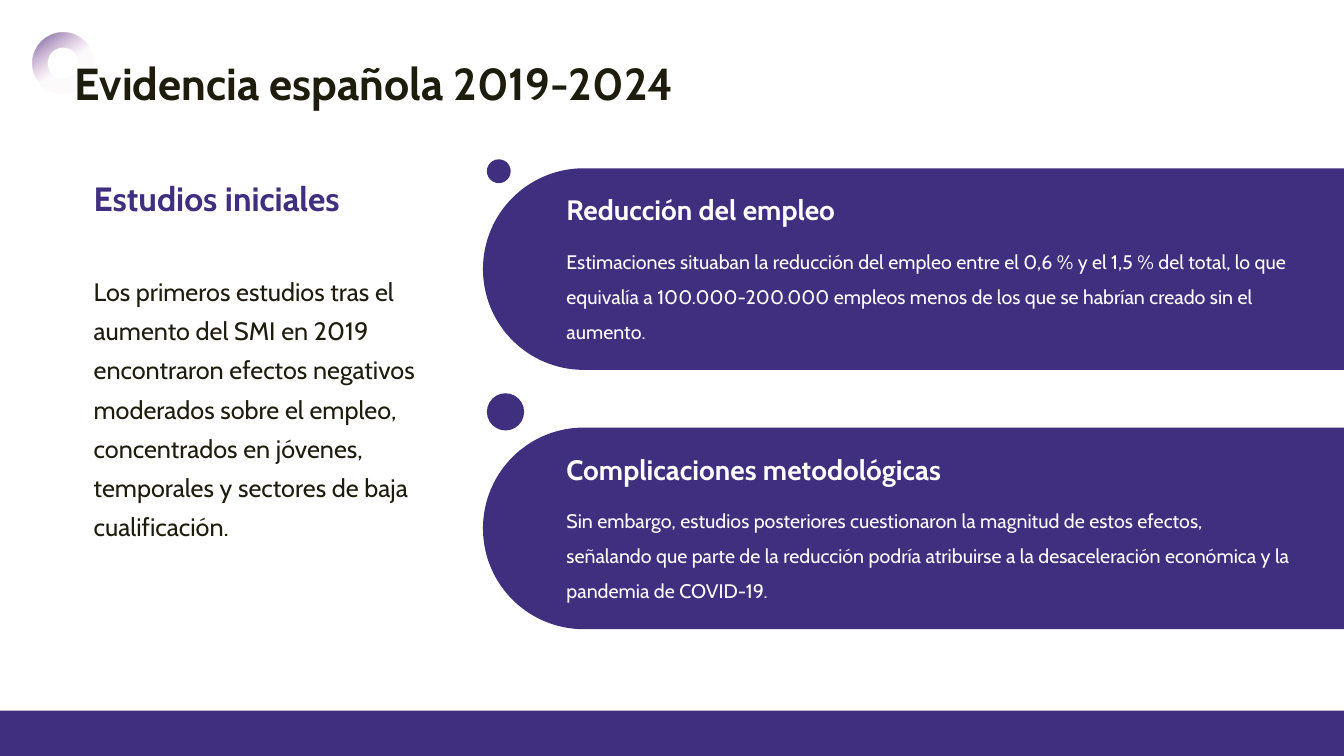
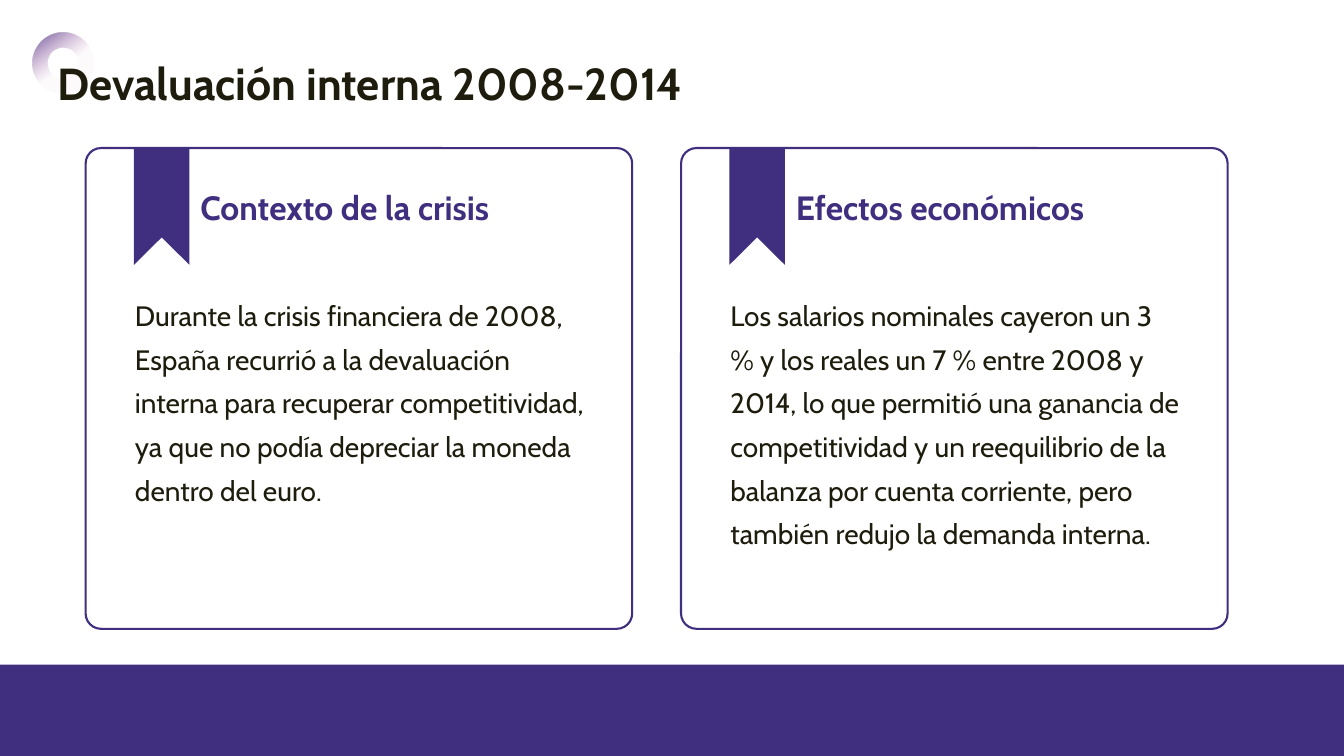
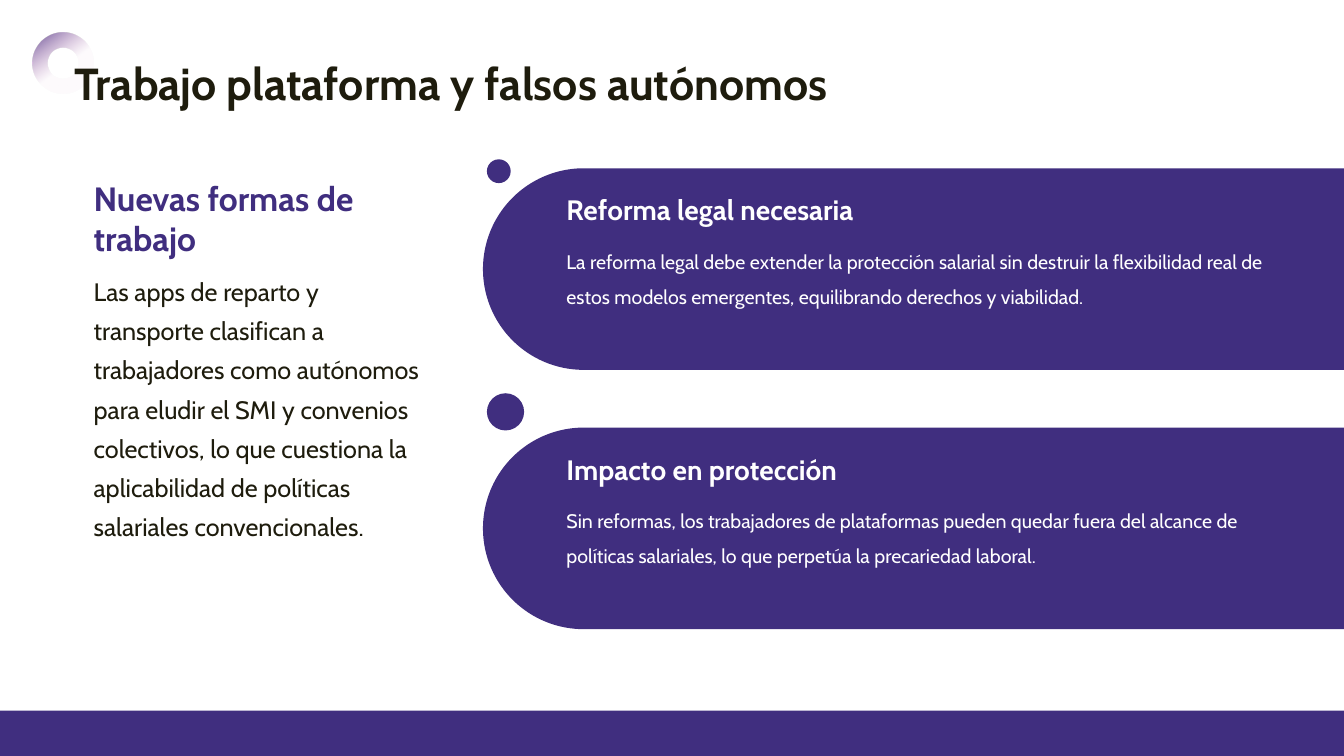
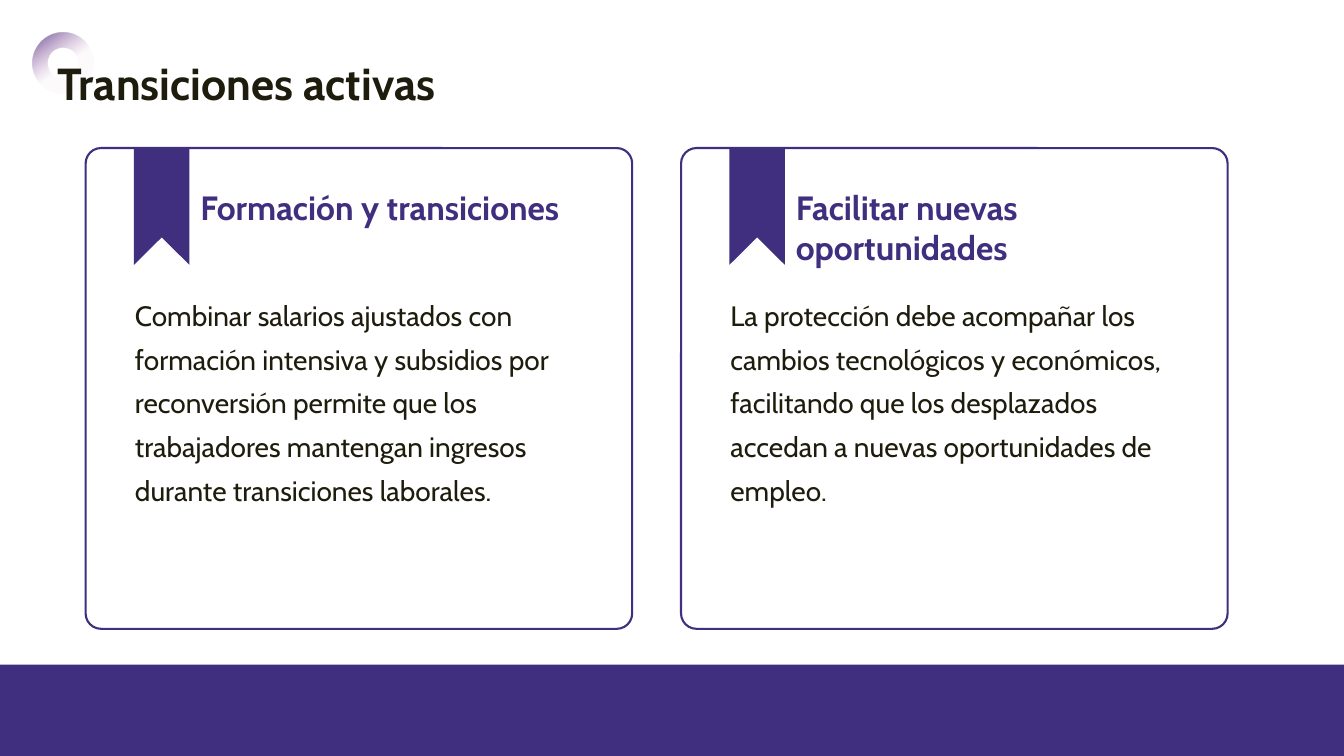
from dataclasses import dataclass

from lxml import etree
from pptx import Presentation
from pptx.dml.color import RGBColor
from pptx.enum import shapes, text
from pptx.oxml import ns
from pptx.util import Pt

SHAPE = shapes.MSO_SHAPE


@dataclass(frozen=True)
class TextStyle:
    size: float
    color: RGBColor
    bold: bool = False
    spacing: float = 1.0


class Theme:
    font = "Cabin"
    width, height = 960, 540
    purple = RGBColor.from_string("402E7F")
    mauve = RGBColor.from_string("BC7DB7")
    ink = RGBColor.from_string("1E1C0D")
    white = RGBColor.from_string("FFFFFF")

    title = TextStyle(32, ink, bold=True)
    heading = TextStyle(24, purple, bold=True)
    intro = TextStyle(18, ink, spacing=1.3)
    card_body = TextStyle(20, ink, spacing=1.3)
    band_heading = TextStyle(20, white, bold=True)
    band_body = TextStyle(14, white, spacing=1.5)


class Deck:
    """Holds the presentation, its theme and the slide being built."""

    def __init__(self, theme):
        self.theme = theme
        self.prs = Presentation()
        self.prs.slide_width = Pt(theme.width)
        self.prs.slide_height = Pt(theme.height)
        self.slide = None

    def start_slide(self, title, title_left, footer_height):
        comparison_layout = self.prs.slide_layouts[4]
        self.slide = self.prs.slides.add_slide(comparison_layout)
        self.ring()
        top = self.theme.height - footer_height
        self.shape(SHAPE.RECTANGLE, 0, top, self.theme.width, footer_height)
        self.fill_placeholder(0, (title_left, 36, 799, 46), title, self.theme.title)

    def paint(self, shape, fill, outline=None):
        shape.shadow.inherit = False
        shape.fill.solid()
        shape.fill.fore_color.rgb = fill
        if outline is None:
            shape.line.fill.background()
        else:
            shape.line.color.rgb = outline
            shape.line.width = Pt(1.5)

    def shape(self, kind, left, top, width, height, fill=None, outline=None):
        shape = self.slide.shapes.add_shape(
            kind, Pt(left), Pt(top), Pt(width), Pt(height))
        self.paint(shape, fill or self.theme.purple, outline)
        return shape

    def ring(self):
        """Draw the donut behind the title, fading from purple to near clear."""
        ring = self.shape(SHAPE.DONUT, 23, 23, 44, 44)
        ring.rotation = 99
        ring.fill.gradient()
        ring.fill.gradient_angle = 45
        start, end = ring.fill.gradient_stops
        start.color.rgb, start.position = self.theme.purple, 0
        end.color.rgb, end.position = self.theme.mauve, 0.54
        faded = ring.element.spPr.findall(".//" + ns.qn("a:srgbClr"))[-1]
        etree.SubElement(faded, ns.qn("a:alpha"), val="3000")

    def dot(self, left, top, diameter):
        self.shape(SHAPE.OVAL, left, top, diameter, diameter)

    def fill_placeholder(self, idx, box, content, style):
        """Fill a placeholder and bring it in front of the shapes drawn so far."""
        holder = next(p for p in self.slide.placeholders
                      if p.placeholder_format.idx == idx)
        holder.left, holder.top, holder.width, holder.height = map(Pt, box)
        holder.element.getparent().append(holder.element)
        self.set_text(holder, content, style)

    def text_box(self, box, content, style):
        self.set_text(self.slide.shapes.add_textbox(*map(Pt, box)), content, style)

    def set_text(self, holder, content, style):
        frame = holder.text_frame
        frame.word_wrap = True
        frame.auto_size = text.MSO_AUTO_SIZE.NONE
        frame.vertical_anchor = text.MSO_ANCHOR.TOP
        paragraph = frame.paragraphs[0]
        properties = paragraph._p.get_or_add_pPr()
        properties.set("marL", "0")
        properties.set("indent", "0")
        etree.SubElement(properties, ns.qn("a:buNone"))
        paragraph.alignment = text.PP_ALIGN.LEFT
        paragraph.line_spacing = style.spacing
        paragraph.space_before = Pt(0)
        run = paragraph.add_run()
        run.text = content
        run.font.name = self.theme.font
        run.font.size = Pt(style.size)
        run.font.bold = style.bold
        run.font.color.rgb = style.color

    def ribbon(self, left, top):
        width, length, notch = 39.6, 83.4, 19.6
        outline = self.slide.shapes.build_freeform(Pt(left), Pt(top))
        corners = [(width, 0), (width, length),
                   (width / 2, length - notch), (0, length)]
        outline.add_line_segments(
            [(Pt(left + x), Pt(top + y)) for x, y in corners], close=True)
        self.paint(outline.convert_to_shape(), self.theme.purple)

    def card(self, index, heading, body):
        left, top = 61.2 + index * 425.3, 105.8
        frame = self.shape(SHAPE.ROUNDED_RECTANGLE, left, top, 390.4, 343.4,
                           self.theme.white, self.theme.purple)
        frame.adjustments[0] = 0.032
        self.ribbon(left + 34.5, top)
        first = 1 + 2 * index
        self.fill_placeholder(first, (left + 74.7, 129.6, 290, 65.5),
                              heading, self.theme.heading)
        self.fill_placeholder(first + 1, (left + 28, 202.3, 337, 232.6),
                              body, self.theme.card_body)

    def band(self, index, heading, body):
        """Draw a band that is round on the left and runs to the slide edge."""
        left, top, height = 345, 120.2 + index * 185.2, 144
        length = self.theme.width - left
        # Drawn upright about the same centre, then turned on its side.
        band = self.shape(SHAPE.ROUND_2_SAME_RECTANGLE,
                          left + (length - height) / 2,
                          top + (height - length) / 2, height, length)
        band.adjustments[0], band.adjustments[1] = 0.5, 0
        band.rotation = 270
        first = 1 + 2 * index
        self.fill_placeholder(first, (397.4, top + 14, 531.4, 31.5),
                              heading, self.theme.band_heading)
        self.fill_placeholder(first + 1, (397.4, top + 46, 531.4, 83.5),
                              body, self.theme.band_body)

    def band_slide(self, title, intro, bands):
        self.start_slide(title, title_left=46, footer_height=32.4)
        self.dot(347.8, 113.8, 17)
        self.dot(347.8, 280.9, 26.6)
        heading, body = intro
        self.text_box((59.8, 123.2, 250.6, 65.5), heading, self.theme.heading)
        self.text_box((59.8, 187.2, 250.6, 280.8), body, self.theme.intro)
        for index, band in enumerate(bands):
            self.band(index, *band)

    def card_slide(self, title, cards):
        self.start_slide(title, title_left=34, footer_height=65.3)
        for index, card in enumerate(cards):
            self.card(index, *card)


def main():
    deck = Deck(Theme())
    deck.band_slide(
        "Evidencia española 2019-2024",
        ("Estudios iniciales",
         "Los primeros estudios tras el aumento del SMI en 2019 encontraron "
         "efectos negativos moderados sobre el empleo, concentrados en jóvenes, "
         "temporales y sectores de baja cualificación."),
        [("Reducción del empleo",
          "Estimaciones situaban la reducción del empleo entre el 0,6 % y el "
          "1,5 % del total, lo que equivalía a 100.000-200.000 empleos menos de "
          "los que se habrían creado sin el aumento."),
         ("Complicaciones metodológicas",
          "Sin embargo, estudios posteriores cuestionaron la magnitud de estos "
          "efectos, señalando que parte de la reducción podría atribuirse a la "
          "desaceleración económica y la pandemia de COVID-19.")])
    deck.card_slide(
        "Devaluación interna 2008-2014",
        [("Contexto de la crisis",
          "Durante la crisis financiera de 2008, España recurrió a la "
          "devaluación interna para recuperar competitividad, ya que no podía "
          "depreciar la moneda dentro del euro."),
         ("Efectos económicos",
          "Los salarios nominales cayeron un 3 % y los reales un 7 % entre 2008 "
          "y 2014, lo que permitió una ganancia de competitividad y un "
          "reequilibrio de la balanza por cuenta corriente, pero también redujo "
          "la demanda interna.")])
    deck.band_slide(
        "Trabajo plataforma y falsos autónomos",
        ("Nuevas formas de trabajo",
         "Las apps de reparto y transporte clasifican a trabajadores como "
         "autónomos para eludir el SMI y convenios colectivos, lo que cuestiona "
         "la aplicabilidad de políticas salariales convencionales."),
        [("Reforma legal necesaria",
          "La reforma legal debe extender la protección salarial sin destruir la "
          "flexibilidad real de estos modelos emergentes, equilibrando derechos "
          "y viabilidad."),
         ("Impacto en protección",
          "Sin reformas, los trabajadores de plataformas pueden quedar fuera del "
          "alcance de políticas salariales, lo que perpetúa la precariedad "
          "laboral.")])
    deck.card_slide(
        "Transiciones activas",
        [("Formación y transiciones",
          "Combinar salarios ajustados con formación intensiva y subsidios por "
          "reconversión permite que los trabajadores mantengan ingresos durante "
          "transiciones laborales."),
         ("Facilitar nuevas oportunidades",
          "La protección debe acompañar los cambios tecnológicos y económicos, "
          "facilitando que los desplazados accedan a nuevas oportunidades de "
          "empleo.")])
    deck.prs.save("out.pptx")


if __name__ == "__main__":
    main()
